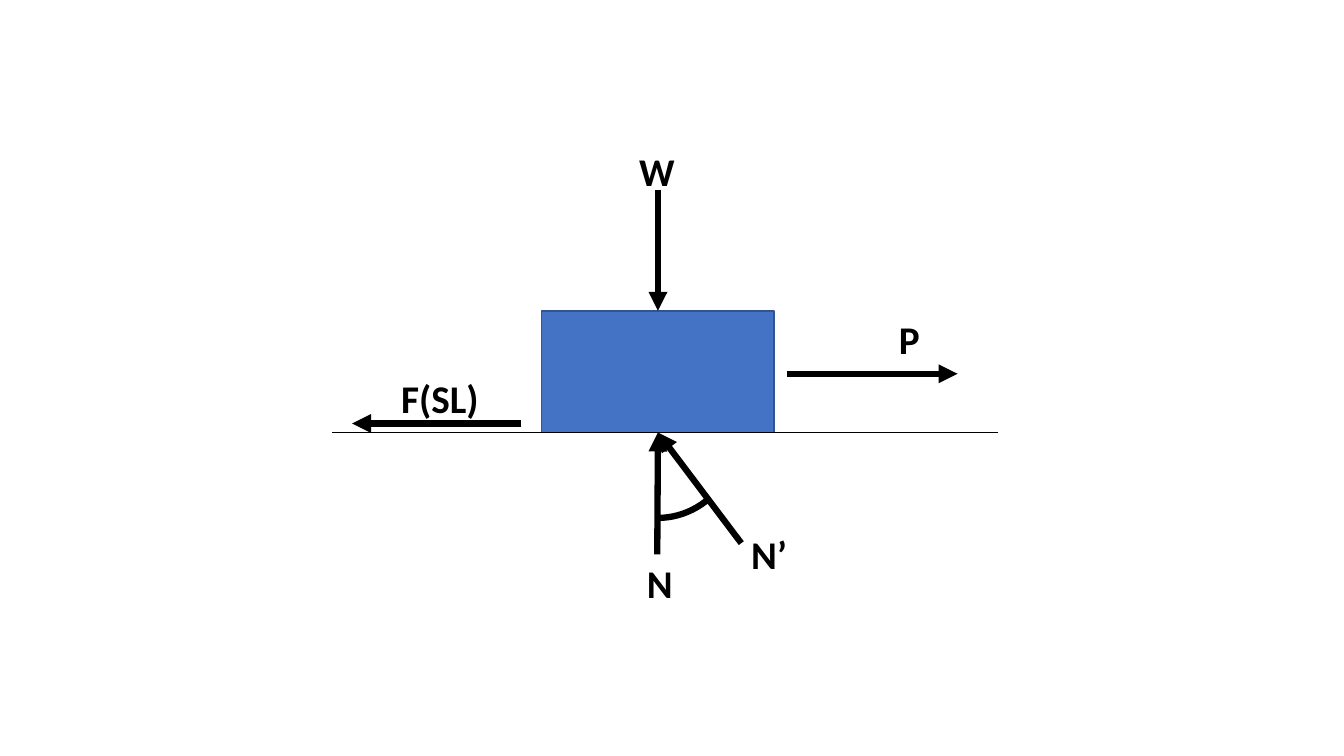
from lxml import etree
from pptx import Presentation
from pptx.dml.color import RGBColor
from pptx.enum.shapes import MSO_CONNECTOR, MSO_SHAPE
from pptx.oxml.ns import qn
from pptx.util import Pt

COLORS = {"block": "4472C4", "edge": "325491", "ink": "000000"}
TOP, BOTTOM = 0, 2
CENTER_X = 470
BLOCK_LEFT, BLOCK_TOP, BLOCK_WIDTH, BLOCK_HEIGHT = 387, 222, 166, 87
GROUND_Y = BLOCK_TOP + BLOCK_HEIGHT


def color(name):
    return RGBColor.from_string(COLORS[name])


def set_line(item, name, weight):
    item.line.color.rgb = color(name)
    item.line.width = Pt(weight)


def add_block(slide):
    block = slide.shapes.add_shape(
        MSO_SHAPE.RECTANGLE, Pt(BLOCK_LEFT), Pt(BLOCK_TOP), Pt(BLOCK_WIDTH), Pt(BLOCK_HEIGHT))
    block.shadow.inherit = False
    block.fill.solid()
    block.fill.fore_color.rgb = color("block")
    set_line(block, "edge", 1)
    return block


def add_line(slide, start, end, weight):
    line = slide.shapes.add_connector(
        MSO_CONNECTOR.STRAIGHT, *(Pt(value) for value in (*start, *end)))
    set_line(line, "ink", weight)
    etree.SubElement(line.element.spPr, qn("a:effectLst"))
    return line


def add_force(slide, start, end, block=None, side=None):
    """Draw a force arrow, joined to a side of the block if one is given."""
    force = add_line(slide, start, end, 4.5)
    etree.SubElement(force.line._get_or_add_ln(), qn("a:tailEnd"), type="triangle")
    if block is not None:
        force.end_connect(block, side)


def add_label(slide, text, left, top, width):
    label = slide.shapes.add_textbox(Pt(left), Pt(top), Pt(width), Pt(41))
    label.text_frame.word_wrap = True
    run = label.text_frame.paragraphs[0].add_run()
    run.text = text
    run.font.name = "Calibri"
    run.font.size = Pt(28)
    run.font.bold = True
    run.font.color.rgb = color("ink")


def add_angle(slide):
    """Mark the angle between N and N’ below the block."""
    angle = slide.shapes.add_shape(MSO_SHAPE.ARC, Pt(413.5), Pt(255.5), Pt(112.5), Pt(114.5))
    angle.shadow.inherit = False
    angle.fill.background()
    set_line(angle, "ink", 4.5)
    angle.adjustments[0] = 162
    angle.adjustments[1] = 184.56
    angle.element.spPr.find(qn("a:xfrm")).set("flipV", "1")


def main():
    deck = Presentation()
    deck.slide_width, deck.slide_height = Pt(960), Pt(540)
    slide = deck.slides.add_slide(deck.slide_layouts[6])

    block = add_block(slide)
    contact = (CENTER_X, GROUND_Y)
    add_force(slide, (372.5, 302.5), (251.5, 302.5))
    add_force(slide, (562.5, 267), (684, 267))
    add_force(slide, (CENTER_X, 135.5), (CENTER_X, BLOCK_TOP), block, TOP)
    add_force(slide, (469.5, 396), contact, block, BOTTOM)
    add_force(slide, (529.5, 388), contact, block, BOTTOM)

    for text, left, top, width in (
        ("F(SL)", 279.5, 263.5, 98),
        ("P", 635, 222, 29),
        ("W", 449.5, 101.5, 29),
        ("N", 455, 396, 29),
        ("N’", 529.5, 375, 52.5),
    ):
        add_label(slide, text, left, top, width)

    add_angle(slide)
    add_line(slide, (237, GROUND_Y), (713, GROUND_Y), 0.5)
    deck.save("out.pptx")


if __name__ == "__main__":
    main()
